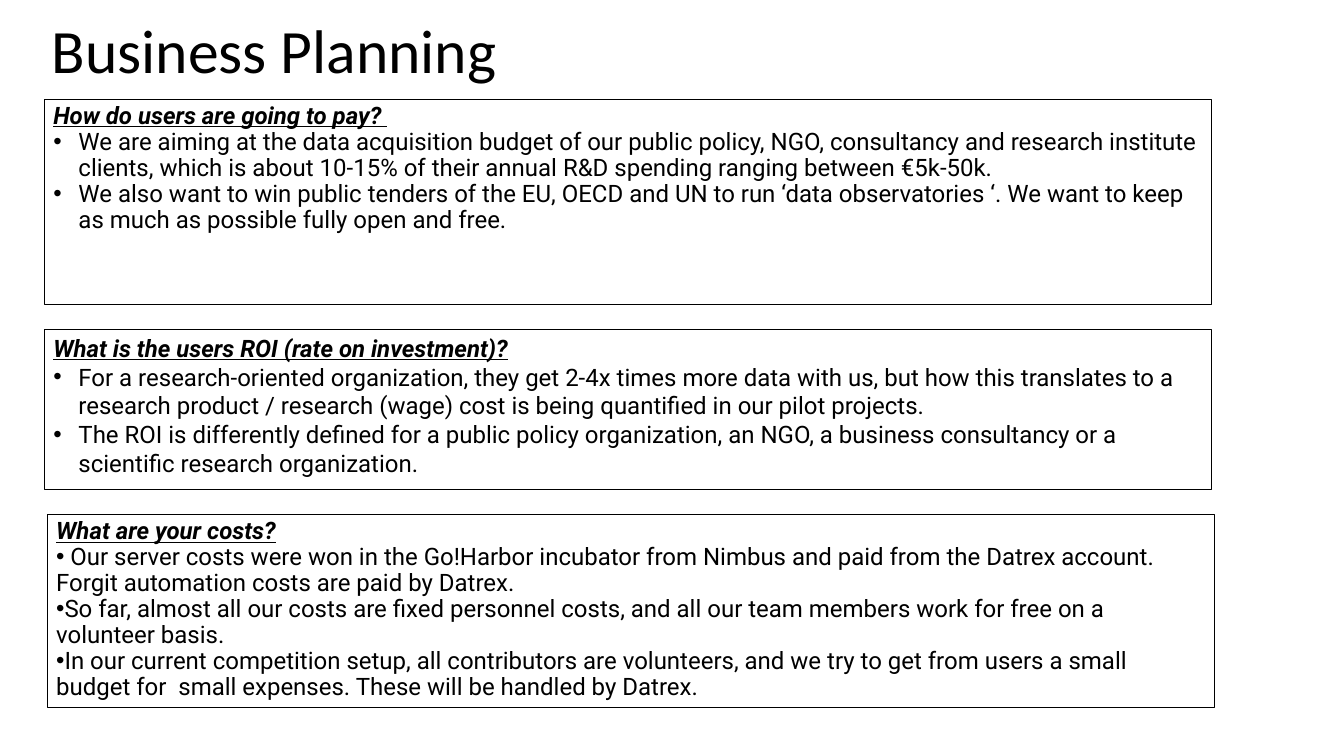
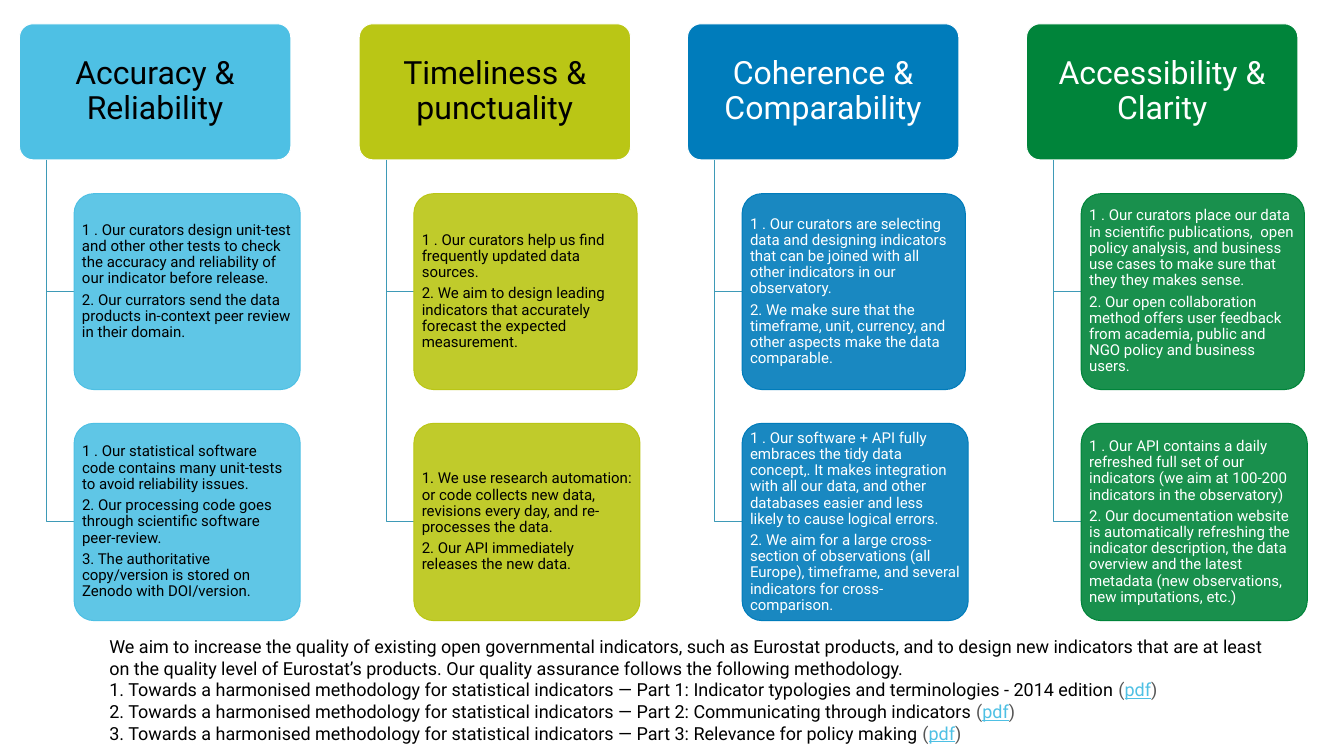
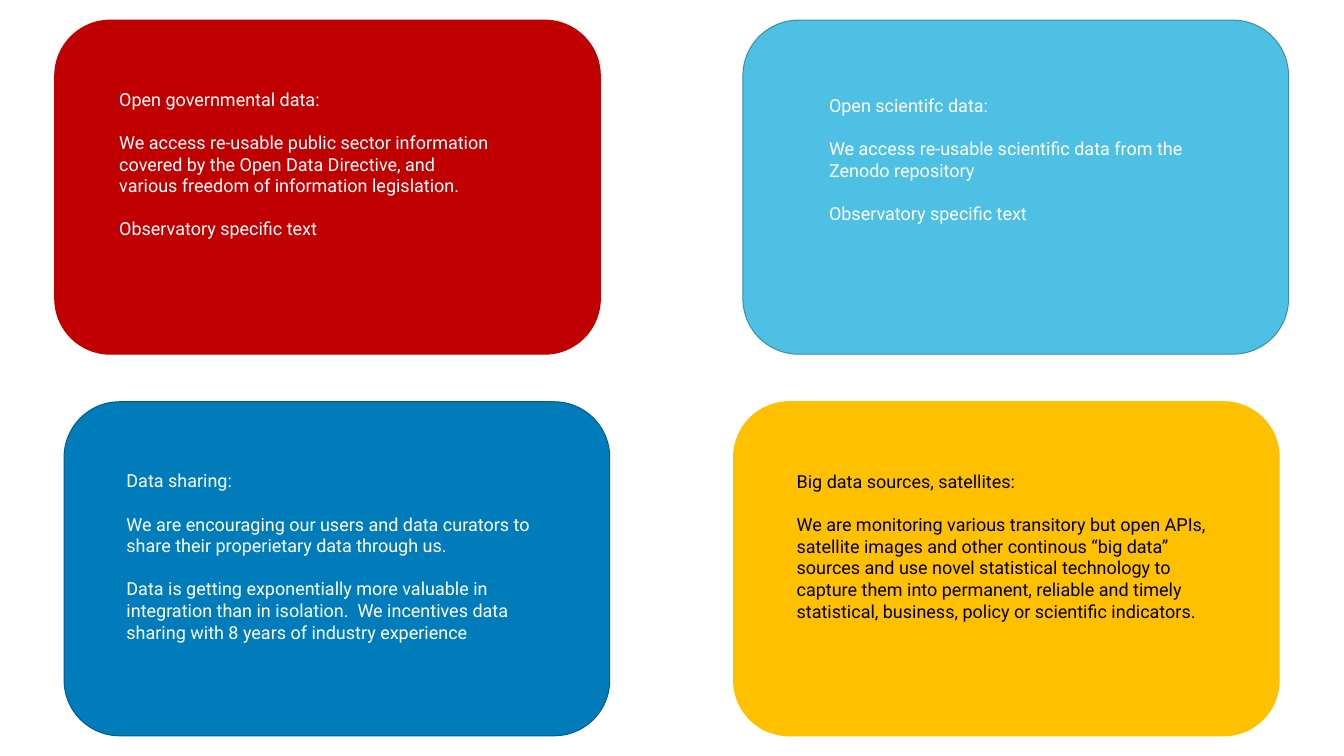
from lxml.etree import SubElement
from pptx import Presentation
from pptx.dml.color import RGBColor
from pptx.enum.shapes import MSO_SHAPE
from pptx.enum.text import MSO_ANCHOR, PP_ALIGN
from pptx.oxml.ns import qn
from pptx.util import Inches, Pt

BODY_FONT = "Roboto"
BLACK, WHITE, GRAY = "000000", "FFFFFF", "555555"
SKY, LIME, BLUE, GREEN = "4EC0E4", "BAC615", "007CBB", "00843A"
RED, AMBER = "C00000", "FFC000"
CONNECTOR_COLOR = "3E9AB7"
hex_color = RGBColor.from_string


def paint(shape, fill, line, line_width=1):
    shape.shadow.inherit = False
    if fill:
        shape.fill.solid()
        shape.fill.fore_color.rgb = hex_color(fill)
    else:
        shape.fill.background()
    shape.line.color.rgb = hex_color(line)
    shape.line.width = Pt(line_width)


def write(shape, texts, size, color, insets=(0.1, 0.05, 0.1, 0.05), anchor=MSO_ANCHOR.TOP,
          align=PP_ALIGN.LEFT, line_spacing=1.0, gap=0, font=BODY_FONT):
    """Fill a shape with one paragraph per text; insets are left, top, right, bottom."""
    frame = shape.text_frame
    frame.word_wrap = True
    frame.vertical_anchor = anchor
    (frame.margin_left, frame.margin_top,
     frame.margin_right, frame.margin_bottom) = [Inches(inset) for inset in insets]
    for index, text in enumerate(texts):
        paragraph = frame.add_paragraph() if index else frame.paragraphs[0]
        paragraph.text = text
        paragraph.alignment = align
        paragraph.line_spacing = line_spacing
        if index and gap:
            paragraph.space_before = Pt(gap)
        for run in paragraph.runs:
            run.font.name = font
            run.font.size = Pt(size)
            run.font.color.rgb = hex_color(color)


presentation = Presentation()
presentation.slide_width = Inches(18.67)
presentation.slide_height = Inches(10.5)
blank_layout = presentation.slide_layouts[6]

# Business planning
slide = presentation.slides.add_slide(blank_layout)
title = slide.shapes.add_textbox(Inches(0.62), Inches(0.11), Inches(17.29), Inches(1.27))
write(title, ["Business Planning"], 61.6, BLACK, anchor=MSO_ANCHOR.MIDDLE,
      line_spacing=0.9, font="Calibri")

# left, top, height, line spacing, bullet indent, heading and answers
questions = [
    (0.62, 1.38, 2.85, 0.9, 0.35, [
        "How do users are going to pay? ",
        "We are aiming at the data acquisition budget of our public policy, NGO, consultancy and "
        "research institute clients, which is about 10-15% of their annual R&D spending ranging "
        "between €5k-50k.",
        "We also want to win public tenders of the EU, OECD and UN to run ‘data observatories ‘. "
        "We want to keep as much as possible fully open and free.",
    ]),
    (0.62, 4.57, 2.23, 1.0, 0.35, [
        "What is the users ROI (rate on investment)?",
        "For a research-oriented organization, they get 2-4x times more data with us, but how this "
        "translates to a research product / research (wage) cost is being quantified in our pilot "
        "projects.",
        "The ROI is differently defined for a public policy organization, an NGO, a business "
        "consultancy or a scientific research organization.",
    ]),
    (0.66, 7.15, 2.68, 0.9, 0, [
        "What are your costs?",
        " Our server costs were won in the Go!Harbor incubator from Nimbus and paid from the Datrex "
        "account. Forgit automation costs are paid by Datrex.",
        "So far, almost all our costs are fixed personnel costs, and all our team members work for "
        "free on a volunteer basis.",
        "In our current competition setup, all contributors are volunteers, and we try to get from "
        "users a small budget for  small expenses. These will be handled by Datrex.",
    ]),
]
for left, top, height, line_spacing, indent, texts in questions:
    box = slide.shapes.add_shape(MSO_SHAPE.RECTANGLE, Inches(left), Inches(top),
                                 Inches(16.21), Inches(height))
    paint(box, WHITE, BLACK, 0.75)
    write(box, texts, 24, BLACK, (0.12, 0.06, 0.12, 0.06), line_spacing=line_spacing)
    heading, *answers = box.text_frame.paragraphs
    heading_font = heading.runs[0].font
    heading_font.bold = heading_font.italic = heading_font.underline = True
    for answer in answers:
        properties = answer._p.get_or_add_pPr()
        properties.set("marL", str(Inches(indent)))
        properties.set("indent", str(-Inches(indent)))
        SubElement(properties, qn("a:buFont"), typeface="Arial")
        SubElement(properties, qn("a:buChar"), char="•")

# Quality criteria
slide = presentation.slides.add_slide(blank_layout)
HEADER_TOP, HEADER_HEIGHT = 0.33, 1.89
HEADER_BOTTOM = HEADER_TOP + HEADER_HEIGHT
# left, upper card width, fill, text colour, heading, upper card, lower card
criteria = [
    (0.27, 3.14, SKY, BLACK, "Accuracy & Reliability", [
        "1 . Our curators design unit-test and other other tests to check the accuracy and "
        "reliability of our indicator before release.",
        "2. Our currators send the data products in-context peer review in their domain.",
    ], [
        "1 . Our statistical software code contains many unit-tests to avoid reliability issues.",
        "2. Our processing code goes through scientific software peer-review.",
        "3. The authoritative copy/version is stored on Zenodo with DOI/version.",
    ]),
    (4.99, 3.1, LIME, BLACK, "Timeliness & punctuality", [
        "1 . Our curators help us find frequently updated data sources.",
        "2. We aim to design leading indicators that accurately forecast the expected measurement.",
    ], [
        "1. We use research automation: or code collects new data, revisions every day, and "
        "re-processes the data.",
        "2. Our API immediately releases the new data.",
    ]),
    (9.55, 3.1, BLUE, WHITE, "Coherence & Comparability", [
        "1 . Our curators are selecting data and designing indicators that can be joined with all "
        "other indicators in our observatory.",
        "2. We make sure that the timeframe, unit, currency, and other aspects make the data "
        "comparable.",
    ], [
        "1 . Our software + API fully embraces the tidy data concept,. It makes integration with "
        "all our data, and other databases easier and less likely to cause logical errors.",
        "2. We aim for a large cross-section of observations (all Europe), timeframe, and several "
        "indicators for cross-comparison.",
    ]),
    (14.26, 3.1, GREEN, WHITE, "Accessibility & Clarity", [
        "1 . Our curators place our data in scientific publications,  open policy analysis, and "
        "business use cases to make sure that they they makes sense.",
        "2. Our open collaboration method offers user feedback from academia, public and NGO "
        "policy and business users.",
    ], [
        "1 . Our API contains a daily refreshed full set of our indicators (we aim at 100-200 "
        "indicators in the observatory)",
        "2. Our documentation website is automatically refreshing the indicator description, the "
        "data overview and the latest metadata (new observations, new imputations, etc.)",
    ]),
]
for left, upper_width, fill, text_color, heading, upper_texts, lower_texts in criteria:
    header = slide.shapes.add_shape(MSO_SHAPE.ROUNDED_RECTANGLE, Inches(left), Inches(HEADER_TOP),
                                    Inches(3.77), Inches(HEADER_HEIGHT))
    header.adjustments[0] = 0.1
    paint(header, fill, WHITE)
    write(header, [heading], 32, text_color, (0.07, 0.04, 0.07, 0.04), MSO_ANCHOR.MIDDLE,
          PP_ALIGN.CENTER, 0.9)

    trunk_left, card_left = left + 0.38, left + 0.76
    # the first upper card sits a little above its middle
    upper_bottom_inset = 0.3 if fill == SKY else 0.02
    cards = [(2.69, upper_width, 2.72, upper_texts, upper_bottom_inset),
             (5.88, 3.14, 2.74, lower_texts, 0.02)]
    for top, width, height, texts, bottom_inset in cards:
        middle = top + height / 2
        builder = slide.shapes.build_freeform(Inches(trunk_left), Inches(HEADER_BOTTOM))
        builder.add_line_segments([(Inches(trunk_left), Inches(middle)),
                                   (Inches(card_left), Inches(middle))], close=False)
        paint(builder.convert_to_shape(), None, CONNECTOR_COLOR)

        card = slide.shapes.add_shape(MSO_SHAPE.ROUNDED_RECTANGLE, Inches(card_left), Inches(top),
                                      Inches(width), Inches(height))
        card.adjustments[0] = 0.1
        paint(card, fill, fill)
        fill_color = card._element.spPr.find(qn("a:solidFill")).find(qn("a:srgbClr"))
        SubElement(fill_color, qn("a:alpha"), val="90000")
        write(card, texts, 15, text_color, (0.03, 0.02, 0.03, bottom_inset), MSO_ANCHOR.MIDDLE,
              line_spacing=0.9, gap=5)

methodology = slide.shapes.add_textbox(Inches(1.42), Inches(8.78), Inches(16.25), Inches(1.7))
write(methodology, [
    "We aim to increase the quality of existing open governmental indicators, such as Eurostat "
    "products, and to design new indicators that are at least on the quality level of Eurostat’s "
    "products. Our quality assurance follows the following methodology.",
    "1. Towards a harmonised methodology for statistical indicators — Part 1: Indicator typologies "
    "and terminologies - 2014 edition ",
    "2. Towards a harmonised methodology for statistical indicators — Part 2: Communicating "
    "through indicators ",
    "3. Towards a harmonised methodology for statistical indicators — Part 3: Relevance for policy "
    "making ",
], 18, BLACK)
for paragraph in methodology.text_frame.paragraphs[1:]:
    for text, color in [("(", GRAY), ("pdf", SKY), (")", GRAY)]:
        run = paragraph.add_run()
        run.text = text
        run.font.name = BODY_FONT
        run.font.size = Pt(18)
        run.font.color.rgb = hex_color(color)
        run.font.underline = text == "pdf"

# Data sources
slide = presentation.slides.add_slide(blank_layout)
PANEL_WIDTH, PANEL_HEIGHT = 7.58, 4.64
CORNER_INSET = 0.23  # text margin that the rounded corners add by themselves
# left, top, fill, line, text colour, text left, text top, text width, texts
panels = [
    (0.76, 0.28, RED, RED, WHITE, 1.66, 1.23, 5.18, [
        "Open governmental data:",
        "We access re-usable public sector information covered by the Open Data Directive, and "
        "various freedom of information legislation.",
        "Observatory specific text",
    ]),
    (10.32, 0.28, SKY, "3A8EA9", WHITE, 11.52, 1.32, 5.18, [
        "Open scientifc data:",
        "We access re-usable scientific data from the Zenodo repository",
        "Observatory specific text",
    ]),
    (10.19, 5.58, AMBER, AMBER, BLACK, 11.07, 6.54, 5.84, [
        "Big data sources, satellites:",
        "We are monitoring various transitory but open APIs, satellite images and other continous "
        "“big data” sources and use novel statistical technology to capture them into permanent, "
        "reliable and timely statistical, business, policy or scientific indicators.",
    ]),
    (0.89, 5.58, BLUE, "005C8A", WHITE, 1.76, 6.53, 5.84, [
        "Data sharing:",
        "We are encouraging our users and data curators to share their properietary data through us.",
        "Data is getting exponentially more valuable in integration than in isolation.  We "
        "incentives data sharing with 8 years of industry experience",
    ]),
]
for left, top, fill, line, text_color, text_left, text_top, text_width, texts in panels:
    panel = slide.shapes.add_shape(MSO_SHAPE.ROUNDED_RECTANGLE, Inches(left), Inches(top),
                                   Inches(PANEL_WIDTH), Inches(PANEL_HEIGHT))
    paint(panel, fill, line)
    left_inset = text_left - left - CORNER_INSET
    top_inset = text_top - top - CORNER_INSET
    right_inset = left + PANEL_WIDTH - text_left - text_width - CORNER_INSET
    write(panel, texts, 18, text_color, (left_inset, top_inset, right_inset, 0), gap=21.6)

presentation.save("out.pptx")
